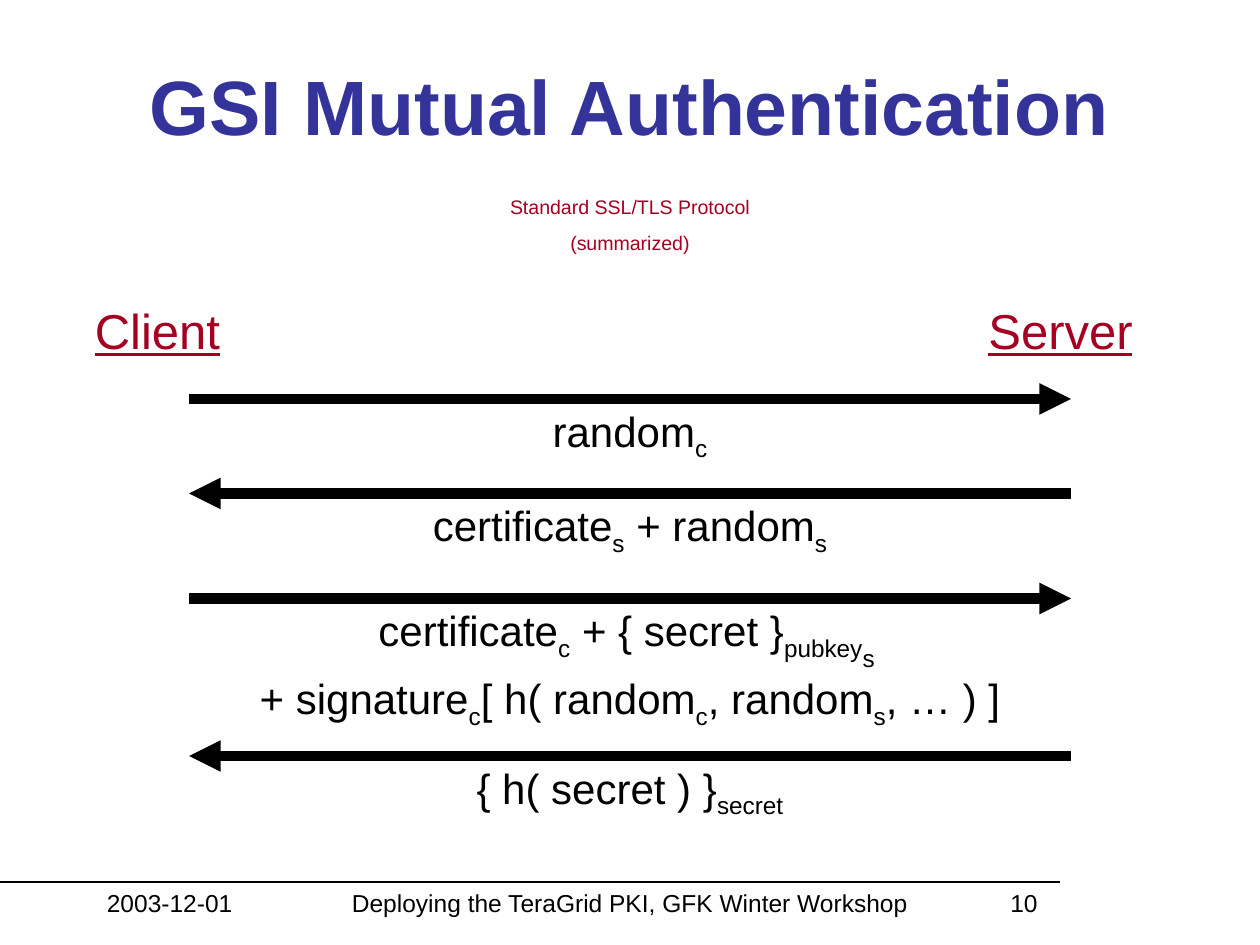
from lxml.etree import SubElement
from pptx import Presentation
from pptx.dml.color import RGBColor
from pptx.enum.shapes import MSO_CONNECTOR as Connector
from pptx.enum.text import MSO_ANCHOR as Anchor, PP_ALIGN as Align
from pptx.oxml.ns import qn
from pptx.util import Pt

COLOURS = {"title": "333399", "accent": "A50021", "ink": "000000"}
MESSAGES = [
    (228, "tailEnd", 198, 324, 40, [[("random", 0), ("c", -25)]]),
    (282, "headEnd", 198, 324, 40,
     [[("certificate", 0), ("s", -25), (" + random", 0), ("s", -25)]]),
    (342, "tailEnd", 72, 576, 79,
     [[("certificate", 0), ("c", -25), (" + { secret }", 0), ("pubkey", -25), ("s ", -50)],
      [("+ signature", 0), ("c", -25), ("[ h( random", 0), ("c", -25),
       (", random", 0), ("s", -25), (", … ) ]", 0)]]),
    (432, "headEnd", 198, 324, 40, [[("{ h( secret ) }", 0), ("secret", -25)]]),
]


def colour(name):
    """Return the named colour."""
    return RGBColor.from_string(COLOURS[name])


def style_span(span, size, ink="ink", bold=False, underline=False):
    """Format one run of text."""
    font = span.font
    font.name, font.size = "Arial", Pt(size)
    font.bold, font.underline = bold, underline
    font.color.rgb = colour(ink)


def add_box(page, left, top, width, height):
    """Add an empty wrapping text box and return its text frame."""
    frame = page.shapes.add_textbox(Pt(left), Pt(top), Pt(width), Pt(height)).text_frame
    frame.word_wrap = True
    return frame


def add_text(page, place, text, size, align=Align.CENTER, gap=0, **style):
    """Add a box of uniformly styled paragraphs."""
    frame = add_box(page, *place)
    frame.text = text
    for index, para in enumerate(frame.paragraphs):
        para.alignment = align
        if index:
            para.space_before = Pt(gap)
        for span in para.runs:
            style_span(span, size, **style)
    return frame


def add_formula(page, place, lines):
    """Add a centred formula whose spans may be subscripts."""
    para = add_box(page, *place).paragraphs[0]
    para.alignment = Align.CENTER
    for index, line in enumerate(lines):
        if index:
            para.add_line_break()
        for text, baseline in line:
            span = para.add_run()
            span.text = text
            style_span(span, 24)
            if baseline:
                span.font._element.set("baseline", str(baseline * 1000))


def add_line(page, start, end, y, width, arrow_end=None):
    """Add a horizontal line, with an arrowhead if an end is named."""
    line = page.shapes.add_connector(Connector.STRAIGHT, Pt(start), Pt(y), Pt(end), Pt(y))
    line.line.color.rgb = colour("ink")
    line.line.width = Pt(width)
    if arrow_end:
        SubElement(line.line._get_or_add_ln(), qn(f"a:{arrow_end}"), type="triangle")
    SubElement(line._element.spPr, qn("a:effectLst"))


def main():
    """Build the slide and save it."""
    deck = Presentation()
    deck.slide_width, deck.slide_height = Pt(720), Pt(540)
    page = deck.slides.add_slide(deck.slide_layouts[6])

    title = add_text(page, (0, 30, 720, 60), "GSI Mutual Authentication", 44,
                     ink="title", bold=True)
    title.vertical_anchor = Anchor.MIDDLE
    add_text(page, (54, 108, 612, 42), "Standard SSL/TLS Protocol\n(summarized)", 11.2,
             gap=7, ink="accent")
    add_text(page, (36, 168, 108, 48), "Client", 28, ink="accent", underline=True)
    add_text(page, (540, 168, 132, 42), "Server", 28, ink="accent", underline=True)

    for y, arrow_end, left, width, height, lines in MESSAGES:
        add_line(page, 108, 612, y, 6, arrow_end)
        add_formula(page, (left, y, width, height), lines)

    add_line(page, 606, 0, 504, 0.75)
    add_text(page, (54, 504, 108, 24), "2003-12-01", 14, Align.LEFT)
    add_text(page, (180, 504, 360, 20), "Deploying the TeraGrid PKI, GFK Winter Workshop", 14)
    add_text(page, (558, 504, 42, 24), "10", 14, Align.RIGHT)
    deck.save("out.pptx")


if __name__ == "__main__":
    main()
